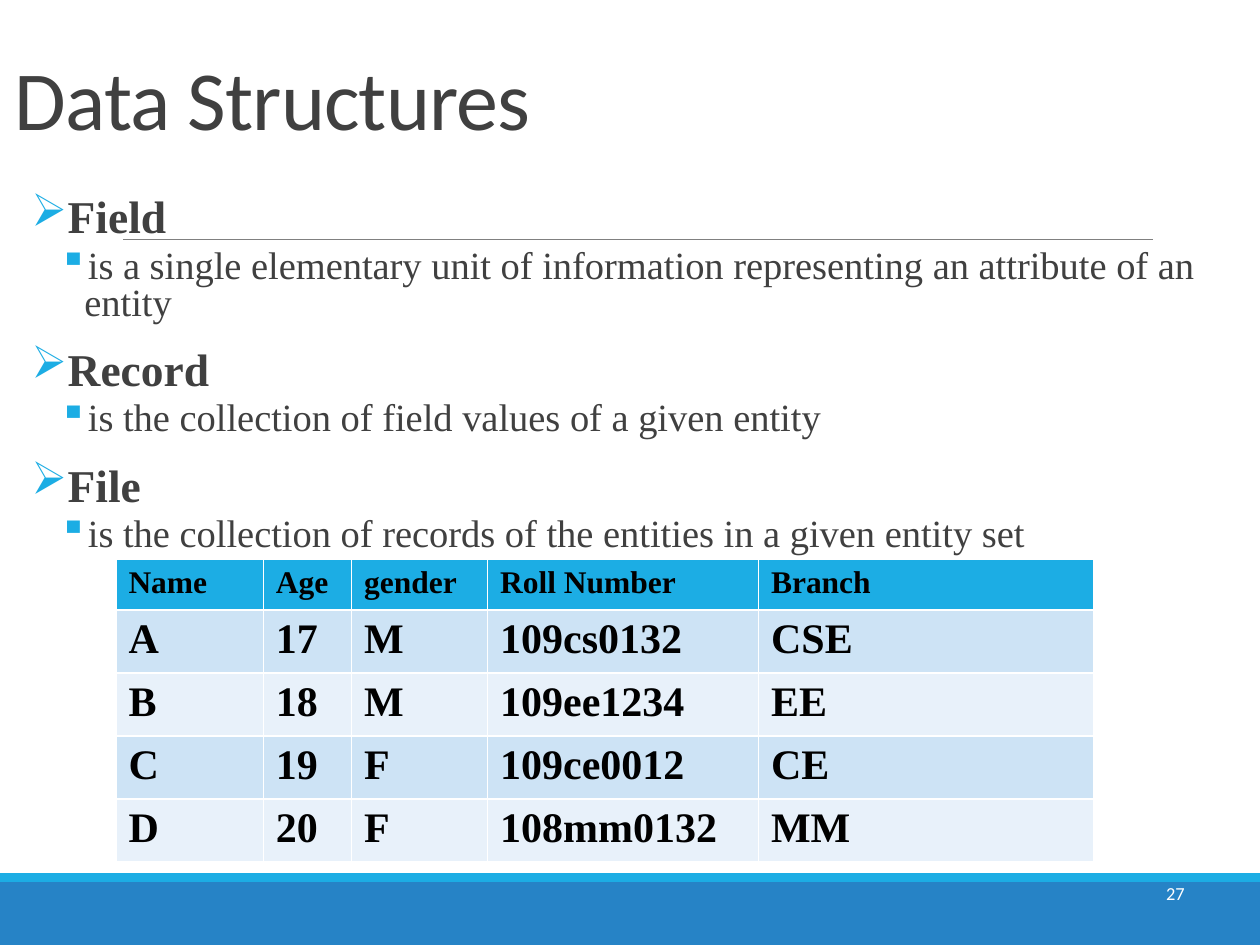
from lxml import etree
from pptx import Presentation, util as u
from pptx.dml.color import RGBColor
from pptx.enum import shapes, text
from pptx.oxml.ns import qn

W, H = 10, 7.5
SERIF, SANS = "Times New Roman", "Calibri"
HUES = {
    "band": "2683C6", "sky": "1CADE4", "rule": "808080", "ink": "404040",
    "black": "000000", "white": "FFFFFF", "odd": "CDE3F5", "even": "E8F1FA",
}
TERMS = [
    ("Field", "is a single elementary unit of information representing "
              "an attribute of an entity"),
    ("Record", "is the collection of field values of a given entity"),
    ("File", "is the collection of records of the entities in a given entity set"),
]
# Per level: bullet, left margin, indent, space before, space after, size, bold
LEVELS = [("➢", 0.1, -0.1, 12, 2, 26, True), ("▪", 0.42, -0.2, 2, 4, 22, False)]
ROWS = [
    ("Name", "Age", "gender", "Roll Number", "Branch"),
    ("A", "17", "M", "109cs0132", "CSE"),
    ("B", "18", "M", "109ee1234", "EE"),
    ("C", "19", "F", "109ce0012", "CE"),
    ("D", "20", "F", "108mm0132", "MM"),
]
COLS = [1.17, 0.7, 1.08, 2.15, 2.66]
HEAD, ROW = 0.4, 0.47


def hue(name):
    return RGBColor.from_string(HUES[name])


def place(*box):
    return [u.Inches(n) for n in box]


def add_run(para, words, size, face, color, bold=False):
    run = para.add_run()
    run.text = words
    font = run.font
    font.size, font.name, font.bold = u.Pt(size), face, bold
    font.color.rgb = hue(color)
    return run


def add_box(slide, box, anchor, side=0.1):
    frame = slide.shapes.add_textbox(*place(*box)).text_frame
    frame.word_wrap = True
    frame.vertical_anchor = anchor
    frame.margin_left = frame.margin_right = u.Inches(side)
    return frame


def add_band(slide, top, high, color):
    band = slide.shapes.add_shape(shapes.MSO_SHAPE.RECTANGLE, *place(0, top, W, high))
    band.shadow.inherit = False
    band.fill.solid()
    band.fill.fore_color.rgb = hue(color)
    band.line.fill.background()


def add_rule(slide, left, right, y):
    line = slide.shapes.add_connector(
        shapes.MSO_CONNECTOR.STRAIGHT, *place(left, y, right, y))
    line.line.color.rgb = hue("rule")
    line.line.width = u.Pt(0.5)
    etree.SubElement(line._element.spPr, qn("a:effectLst"))


def add_point(para, words, level):
    mark, left, indent, before, after, size, bold = LEVELS[level]
    para.level = level
    para.line_spacing = 0.8
    para.space_before, para.space_after = u.Pt(before), u.Pt(after)
    props = para._p.get_or_add_pPr()
    props.set("marL", str(u.Inches(left)))
    props.set("indent", str(u.Inches(indent)))
    color = etree.SubElement(props, qn("a:buClr"))
    etree.SubElement(color, qn("a:srgbClr"), val=HUES["sky"])
    etree.SubElement(props, qn("a:buChar"), char=mark)
    add_run(para, words, size, SERIF, "ink", bold)


def add_edges(cell):
    props = cell._tc.get_or_add_tcPr()
    for side in ("lnL", "lnR", "lnT", "lnB"):
        edge = etree.SubElement(props, qn("a:" + side), w=str(u.Pt(1)))
        fill = etree.SubElement(edge, qn("a:solidFill"))
        etree.SubElement(fill, qn("a:srgbClr"), val=HUES["white"])


def add_grid(slide, left, top):
    high = HEAD + ROW * (len(ROWS) - 1)
    grid = slide.shapes.add_table(
        len(ROWS), len(COLS), *place(left, top, sum(COLS), high)).table
    for col, wide in zip(grid.columns, COLS):
        col.width = u.Inches(wide)
    for r, row in enumerate(ROWS):
        grid.rows[r].height = u.Inches(ROW if r else HEAD)
        color = ("odd" if r % 2 else "even") if r else "sky"
        for c, words in enumerate(row):
            cell = grid.cell(r, c)
            add_edges(cell)
            cell.fill.solid()
            cell.fill.fore_color.rgb = hue(color)
            add_run(cell.text_frame.paragraphs[0], words,
                    24 if r else 18, SERIF, "black", True)


def main():
    deck = Presentation()
    deck.slide_width, deck.slide_height = place(W, H)
    slide = deck.slides.add_slide(deck.slide_layouts[6])

    # Footer bands and title rule
    add_band(slide, 7, 0.5, "band")
    add_band(slide, 6.93, 0.07, "sky")
    add_rule(slide, 0.98, 9.15, 1.9)

    # Title
    para = add_box(slide, (0.02, -0.03, 9, 1.25), text.MSO_ANCHOR.BOTTOM).paragraphs[0]
    para.line_spacing = 0.85
    run = add_run(para, "Data Structures", 48, SANS, "ink")
    run._r.get_or_add_rPr().set("spc", "-50")

    # Terms and meanings
    body = add_box(slide, (0.25, 1.53, 9.5, 3.17), text.MSO_ANCHOR.TOP, 0)
    points = [(words, level) for term in TERMS for level, words in enumerate(term)]
    for n, (words, level) in enumerate(points):
        add_point(body.add_paragraph() if n else body.paragraphs[0], words, level)

    # Page number
    para = add_box(slide, (7.17, 6.83, 2.33, 0.52), text.MSO_ANCHOR.MIDDLE).paragraphs[0]
    para.alignment = text.PP_ALIGN.RIGHT
    add_run(para, "27", 10.5, SANS, "white")

    # Sample file of records
    add_grid(slide, 0.92, 4.44)
    deck.save("out.pptx")


if __name__ == "__main__":
    main()
